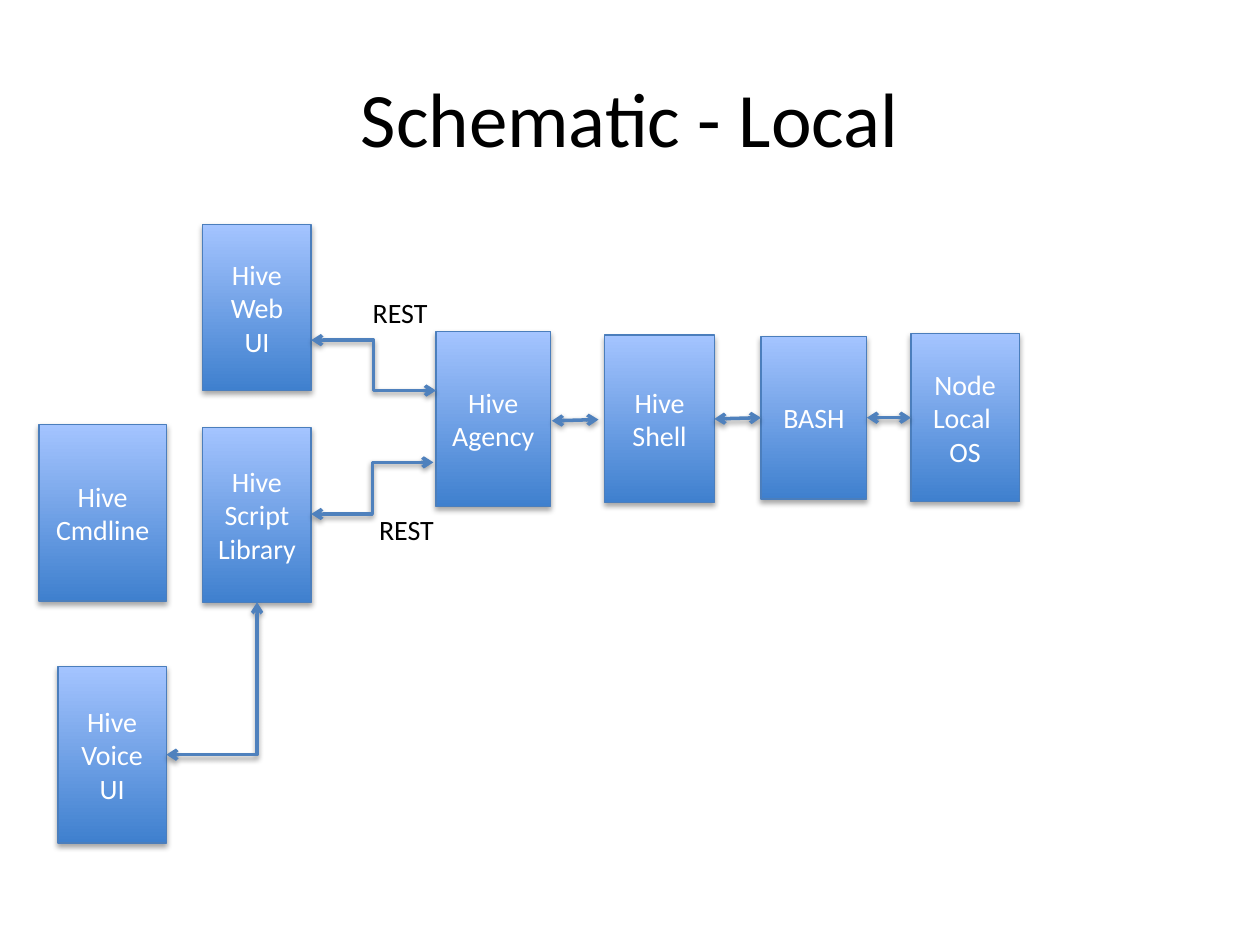
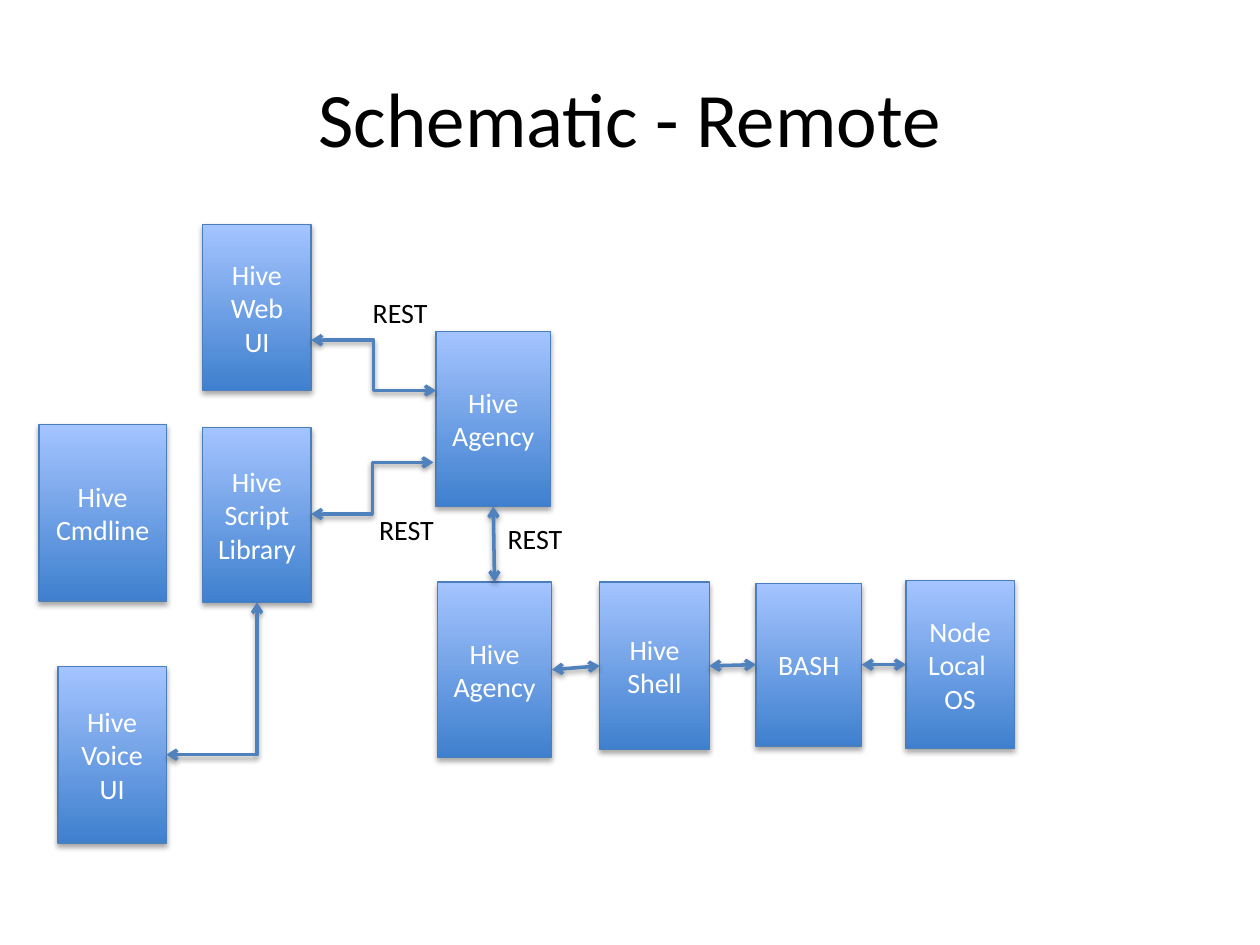
from dataclasses import dataclass, replace

from lxml import etree
from pptx import Presentation
from pptx.dml.color import RGBColor
from pptx.enum import shapes, text
from pptx.oxml import ns
from pptx.util import Inches, Pt

BLACK = RGBColor(0x00, 0x00, 0x00)
WHITE = RGBColor(0xFF, 0xFF, 0xFF)
BOX_BOTTOM = RGBColor(0x3F, 0x80, 0xCE)
BOX_TOP = RGBColor(0xA4, 0xC4, 0xFF)
BOX_EDGE = RGBColor(0x4B, 0x7E, 0xBC)
ARROW = RGBColor(0x4F, 0x81, 0xBD)
FONT = "Calibri"
TOP, LEFT, BOTTOM, RIGHT = range(4)
STRAIGHT = shapes.MSO_CONNECTOR.STRAIGHT
ELBOW = shapes.MSO_CONNECTOR.ELBOW


@dataclass(frozen=True)
class Box:
    label: str
    left: float
    top: float
    width: float
    height: float

    def shifted(self, dx: float, dy: float):
        return replace(self, left=self.left + dx, top=self.top + dy)


@dataclass(frozen=True)
class Arrow:
    """A free arrow between two points."""
    start: tuple[float, float]
    end: tuple[float, float]
    kind: int = STRAIGHT


@dataclass(frozen=True)
class Joint:
    """An arrow joined to the sides of two boxes."""
    source: Box
    source_side: int
    target: Box
    target_side: int
    kind: int = STRAIGHT


@dataclass(frozen=True)
class Schematic:
    title: str
    boxes: list[Box]
    arrows: list[Arrow]
    joints: list[Joint]
    rest_labels: list[tuple[float, float]]


# Components shared by both schematics
AGENCY = Box("Hive\nAgency", 3.46, 2.63, 0.91, 1.39)
WEB_UI = Box("Hive\nWeb\nUI", 1.61, 1.78, 0.86, 1.32)
LIBRARY = Box("Hive Script Library", 1.61, 3.39, 0.86, 1.39)
VOICE_UI = Box("Hive Voice UI", 0.46, 5.29, 0.86, 1.4)
CMDLINE = Box("Hive Cmdline", 0.31, 3.37, 1.01, 1.4)
CLIENTS = [AGENCY, WEB_UI, LIBRARY, VOICE_UI, CMDLINE]
CLIENT_ARROWS = [
    Arrow((2.47, 2.7), (3.46, 3.1), ELBOW),
    Arrow((2.47, 4.08), (3.44, 3.67), ELBOW),
]
VOICE_JOINT = Joint(VOICE_UI, RIGHT, LIBRARY, BOTTOM, ELBOW)
CLIENT_RESTS = [(2.86, 2.3), (2.91, 4.02)]

# The node's chain, and the same chain lowered behind a second agency
LOCAL_NODE = [
    Box("Hive Shell", 4.8, 2.66, 0.87, 1.33),
    Box("BASH", 6.04, 2.67, 0.84, 1.29),
    Box("Node Local \nOS", 7.23, 2.65, 0.86, 1.33),
]
REMOTE_AGENCY = AGENCY.shifted(0.01, 1.99)
REMOTE_NODE = [REMOTE_AGENCY] + [box.shifted(-0.04, 1.96) for box in LOCAL_NODE]


def chain(boxes: list[Box]) -> list[Joint]:
    return [Joint(a, RIGHT, b, LEFT) for a, b in zip(boxes, boxes[1:])]


SCHEMATICS = [
    Schematic(
        "Schematic - Local",
        CLIENTS + LOCAL_NODE,
        CLIENT_ARROWS + [Arrow((4.38, 3.34), (4.75, 3.33))],
        [VOICE_JOINT] + chain(LOCAL_NODE),
        CLIENT_RESTS,
    ),
    Schematic(
        "Schematic - Remote",
        CLIENTS + REMOTE_NODE,
        CLIENT_ARROWS,
        [VOICE_JOINT, Joint(AGENCY, BOTTOM, REMOTE_AGENCY, TOP)] + chain(REMOTE_NODE),
        CLIENT_RESTS + [(3.93, 4.09)],
    ),
]


def format_text(frame, size: float, color: RGBColor, align) -> None:
    for paragraph in frame.paragraphs:
        paragraph.alignment = align
        paragraph.font.name = FONT
        paragraph.font.size = Pt(size)
        paragraph.font.color.rgb = color


def add_shadow(properties, distance: int, opacity: int) -> None:
    effects = etree.SubElement(properties, ns.qn("a:effectLst"))
    shadow = etree.SubElement(
        effects, ns.qn("a:outerShdw"), blurRad="40000", dist=str(distance),
        dir="5400000", rotWithShape="0")
    color = etree.SubElement(shadow, ns.qn("a:srgbClr"), val="000000")
    etree.SubElement(color, ns.qn("a:alpha"), val=str(opacity * 1000))


def draw_title(slide, title: str) -> None:
    heading = slide.shapes.title
    heading.left, heading.top = Inches(0.5), Inches(0.3)
    heading.width, heading.height = Inches(9), Inches(1.25)
    heading.text_frame.text = title
    heading.text_frame.vertical_anchor = text.MSO_ANCHOR.MIDDLE
    format_text(heading.text_frame, 44, BLACK, text.PP_ALIGN.CENTER)


def draw_box(slide, box: Box):
    component = slide.shapes.add_shape(
        shapes.MSO_SHAPE.RECTANGLE, Inches(box.left), Inches(box.top),
        Inches(box.width), Inches(box.height))
    component.fill.gradient()
    component.fill.gradient_angle = 90
    for stop, color in zip(component.fill.gradient_stops, (BOX_BOTTOM, BOX_TOP)):
        stop.color.rgb = color
    component.line.color.rgb = BOX_EDGE
    component.line.width = Pt(0.75)
    add_shadow(component.element.spPr, 23000, 35)
    component.text_frame.text = box.label
    component.text_frame.vertical_anchor = text.MSO_ANCHOR.MIDDLE
    format_text(component.text_frame, 16, WHITE, text.PP_ALIGN.CENTER)
    return component


def draw_arrow(slide, arrow: Arrow):
    link = slide.shapes.add_connector(
        arrow.kind, *(Inches(value) for value in arrow.start + arrow.end))
    link.line.color.rgb = ARROW
    link.line.width = Pt(2)
    properties = link.element.spPr
    for end in ("a:headEnd", "a:tailEnd"):
        etree.SubElement(properties.find(ns.qn("a:ln")), ns.qn(end), type="arrow")
    add_shadow(properties, 20000, 38)
    return link


def draw_joint(slide, joint: Joint, drawn: dict) -> None:
    source, target = joint.source, joint.target
    link = draw_arrow(slide, Arrow(
        (source.left, source.top), (target.left, target.top), joint.kind))
    link.begin_connect(drawn[source], joint.source_side)
    link.end_connect(drawn[target], joint.target_side)
    if joint.kind == ELBOW:  # a single corner
        link.element.spPr.find(ns.qn("a:prstGeom")).set("prst", "bentConnector2")


def draw_rest_label(slide, left: float, top: float) -> None:
    label = slide.shapes.add_textbox(
        Inches(left), Inches(top), Inches(0.65), Inches(0.37))
    label.text_frame.text = "REST"
    label.text_frame.word_wrap = False
    label.text_frame.auto_size = text.MSO_AUTO_SIZE.SHAPE_TO_FIT_TEXT
    format_text(label.text_frame, 16, BLACK, text.PP_ALIGN.LEFT)


def draw_schematic(deck, schematic: Schematic) -> None:
    slide = deck.slides.add_slide(deck.slide_layouts[5])
    draw_title(slide, schematic.title)
    drawn = {box: draw_box(slide, box) for box in schematic.boxes}
    for arrow in schematic.arrows:
        draw_arrow(slide, arrow)
    for joint in schematic.joints:
        draw_joint(slide, joint, drawn)
    for left, top in schematic.rest_labels:
        draw_rest_label(slide, left, top)


def main() -> None:
    deck = Presentation()
    deck.slide_width, deck.slide_height = Inches(10), Inches(7.5)
    for schematic in SCHEMATICS:
        draw_schematic(deck, schematic)
    deck.save("out.pptx")


if __name__ == "__main__":
    main()
